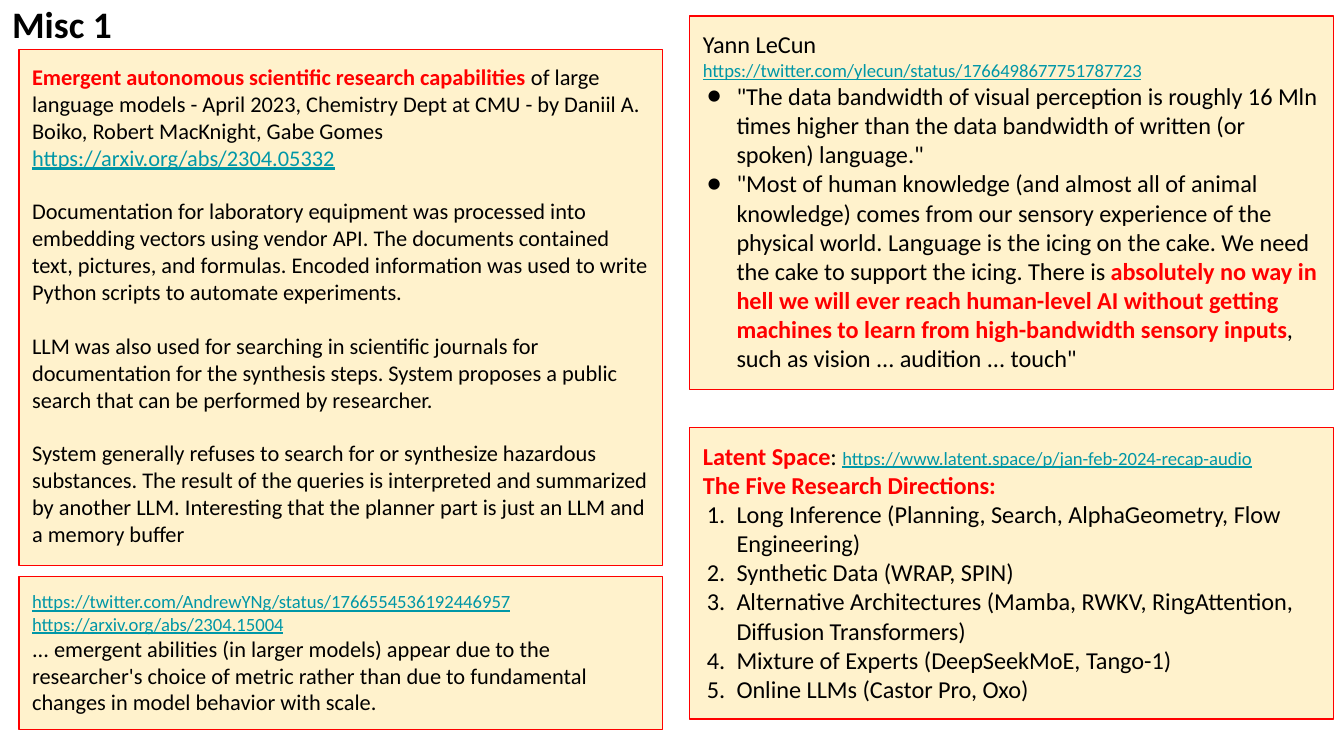
from lxml.etree import SubElement
from pptx import Presentation
from pptx.dml.color import RGBColor
from pptx.enum.shapes import MSO_SHAPE as Shape
from pptx.enum.text import MSO_ANCHOR as Anchor, MSO_AUTO_SIZE as AutoSize, PP_ALIGN as Align
from pptx.oxml.ns import qn
from pptx.util import Inches, Pt

BLACK, RED, TEAL, CREAM = "000000", "FF0000", "0097A7", "FFF2CC"
MARGIN, COLUMN, STEP = 0.14, 4.79, 4.99  # column grid in inches


def paint(color_format, value):
    color_format.rgb = RGBColor.from_string(value)


def write(para, spans, size, marker=None, before=0):
    """Fill a paragraph with (text, style) spans and set its list marker."""
    props = para._p.get_or_add_pPr()
    props.set("marL", str(Inches(0.25 if marker else 0)))
    props.set("indent", str(Inches(-0.22 if marker else 0)))
    if marker:
        color = SubElement(props, qn("a:buClr"))
        SubElement(color, qn("a:srgbClr"), val=BLACK)
        SubElement(props, qn("a:buFont"), typeface="Calibri")
    if marker == "number":
        SubElement(props, qn("a:buAutoNum"), type="arabicPeriod")
    elif marker:
        SubElement(props, qn("a:buChar"), char=marker)
    else:
        SubElement(props, qn("a:buNone"))
    for name, value in {"alignment": Align.LEFT, "space_before": Pt(before),
                        "space_after": Pt(0), "line_spacing": 1.0}.items():
        setattr(para, name, value)
    for text, style in spans:
        span = para.add_run()
        span.text = text
        color, bold, underline, own_size = STYLES[style]
        for name, value in {"name": "Calibri", "size": Pt(own_size or size),
                            "bold": bold, "underline": underline}.items():
            setattr(span.font, name, value)
        paint(span.font.color, color)


# Text styles: colour, bold, underline, size (None takes the size of the box)
STYLES = {
    "plain": (BLACK, False, False, None),
    "strong": (RED, True, False, None),
    "heading": (BLACK, True, False, None),
    "link": (TEAL, False, True, None),
    "small link": (TEAL, False, True, 10),
}

# A 16:9 page
deck = Presentation()
deck.slide_width = Inches(10)
deck.slide_height = deck.slide_width * 9 // 16
page = deck.slides.add_slide(deck.slide_layouts[3])
title, quotes, directions = page.placeholders

# Title
title.left, title.top, title.width, title.height = map(Inches, (0.08, 0, 4.52, 0.36))
write(title.text_frame.paragraphs[0], [("Misc 1", "heading")], 20)

# Paragraphs of each box: spans, list marker, space before
agent_paper = [
    ([("Emergent autonomous scientific research capabilities", "strong"),
      (" of large language models - April 2023, Chemistry Dept at CMU - by "
       "Daniil A. Boiko, Robert MacKnight, Gabe Gomes", "plain")], None, 0),
    ([("https://arxiv.org/abs/2304.05332", "link")], None, 0),
] + [([(text, "plain")], None, 14.4) for text in (
    "Documentation for laboratory equipment was processed into embedding vectors using "
    "vendor API. The documents contained text, pictures, and formulas. Encoded information "
    "was used to write Python scripts to automate experiments.",
    "LLM was also used for searching in scientific journals for documentation for the "
    "synthesis steps. System proposes a public search that can be performed by researcher.",
    "System generally refuses to search for or synthesize hazardous substances. The result "
    "of the queries is interpreted and summarized by another LLM. Interesting that the "
    "planner part is just an LLM and a memory buffer",
)]

metric_paper = [([(link, "small link")], None, 0) for link in (
    "https://twitter.com/AndrewYNg/status/1766554536192446957",
    "https://arxiv.org/abs/2304.15004",
)] + [
    ([("... emergent abilities (in larger models) appear due to the researcher's choice of "
       "metric rather than due to fundamental changes in model behavior with scale.",
       "plain")], None, 0),
]

quote_text = [
    ([("Yann LeCun", "plain")], None, 0),
    ([("https://twitter.com/ylecun/status/1766498677751787723", "small link")], None, 0),
    ([('"The data bandwidth of visual perception is roughly 16 Mln times higher than the '
       'data bandwidth of written (or spoken) language."', "plain")], "●", 0),
    ([('"Most of human knowledge (and almost all of animal knowledge) comes from our sensory '
       "experience of the physical world. Language is the icing on the cake. We need the cake "
       "to support the icing. There is ", "plain"),
      ("absolutely no way in hell we will ever reach human-level AI without getting machines "
       "to learn from high-bandwidth sensory inputs", "strong"),
      (', such as vision ... audition ... touch"', "plain")], "●", 0),
]

direction_text = [
    ([("Latent Space", "strong"), (": ", "plain"),
      ("https://www.latent.space/p/jan-feb-2024-recap-audio", "small link")], None, 0),
    ([("The Five Research Directions:", "strong")], None, 0),
] + [([(text, "plain")], "number", 0) for text in (
    "Long Inference (Planning, Search, AlphaGeometry, Flow Engineering)",
    "Synthetic Data (WRAP, SPIN)",
    "Alternative Architectures (Mamba, RWKV, RingAttention, Diffusion Transformers)",
    "Mixture of Experts (DeepSeekMoE, Tango-1)",
    "Online LLMs (Castor Pro, Oxo)",
)]

# Boxes: placeholder (None makes a rectangle), column, top, height, text size, paragraphs
boxes = [
    (None, 0, 0.37, 3.84, 12, agent_paper),
    (quotes, 1, 0.12, 2.78, 13, quote_text),
    (directions, 1, 3.18, 2.17, 13, direction_text),
    (None, 0, 4.29, 1.14, 12, metric_paper),
]
for box, column, top, height, size, paragraphs in boxes:
    place = [Inches(n) for n in (MARGIN + column * STEP, top, COLUMN, height)]
    if box is None:
        box = page.shapes.add_shape(Shape.RECTANGLE, *place)
        box.shadow.inherit = False
    box.left, box.top, box.width, box.height = place
    box.fill.solid()
    paint(box.fill.fore_color, CREAM)
    paint(box.line.color, RED)
    box.line.width = Pt(0.75)
    frame = box.text_frame
    for number, (spans, marker, before) in enumerate(paragraphs):
        para = frame.add_paragraph() if number else frame.paragraphs[0]
        write(para, spans, size, marker, before)

# Frame settings shared by the title and the boxes
for shape in page.shapes:
    inset = Inches(0.01 if shape.shape_id == title.shape_id else 0.1)
    for name, value in {"margin_left": inset, "margin_right": inset, "margin_top": inset,
                        "margin_bottom": inset, "word_wrap": True,
                        "auto_size": AutoSize.NONE,
                        "vertical_anchor": Anchor.TOP}.items():
        setattr(shape.text_frame, name, value)

deck.save("out.pptx")
